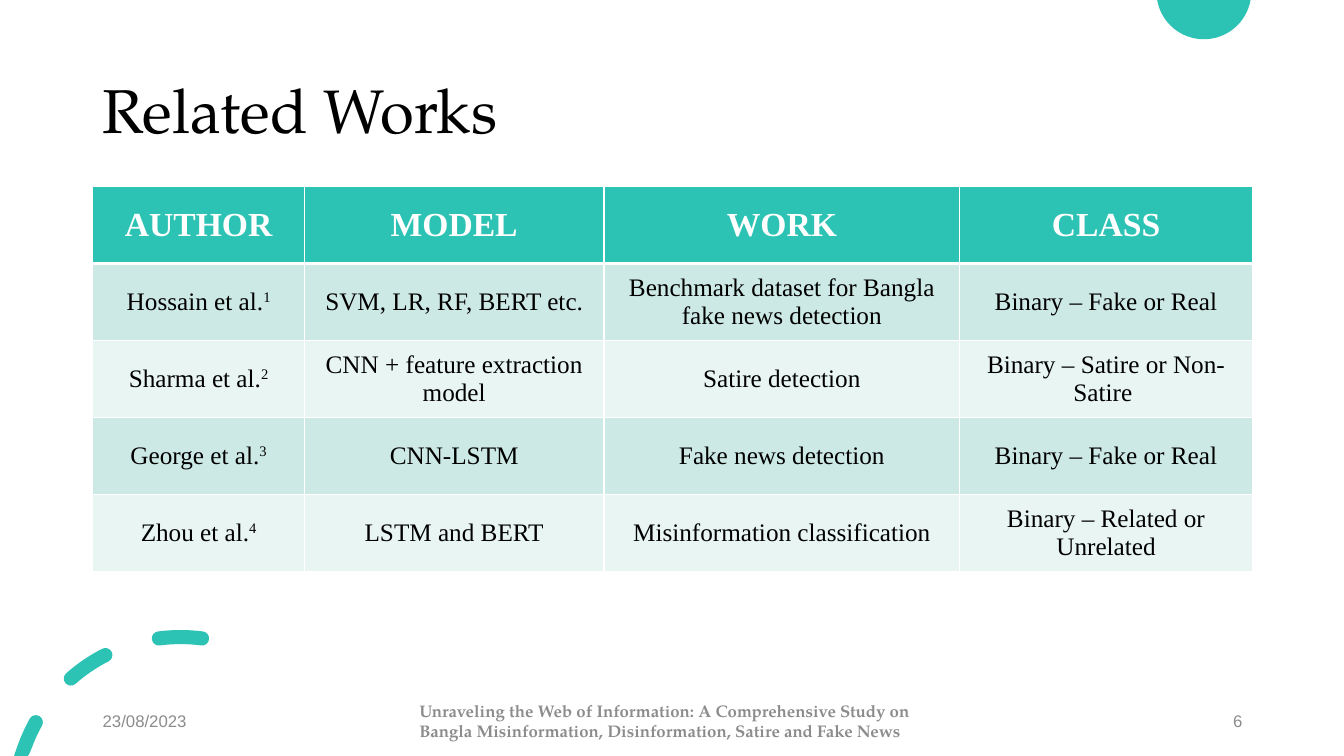
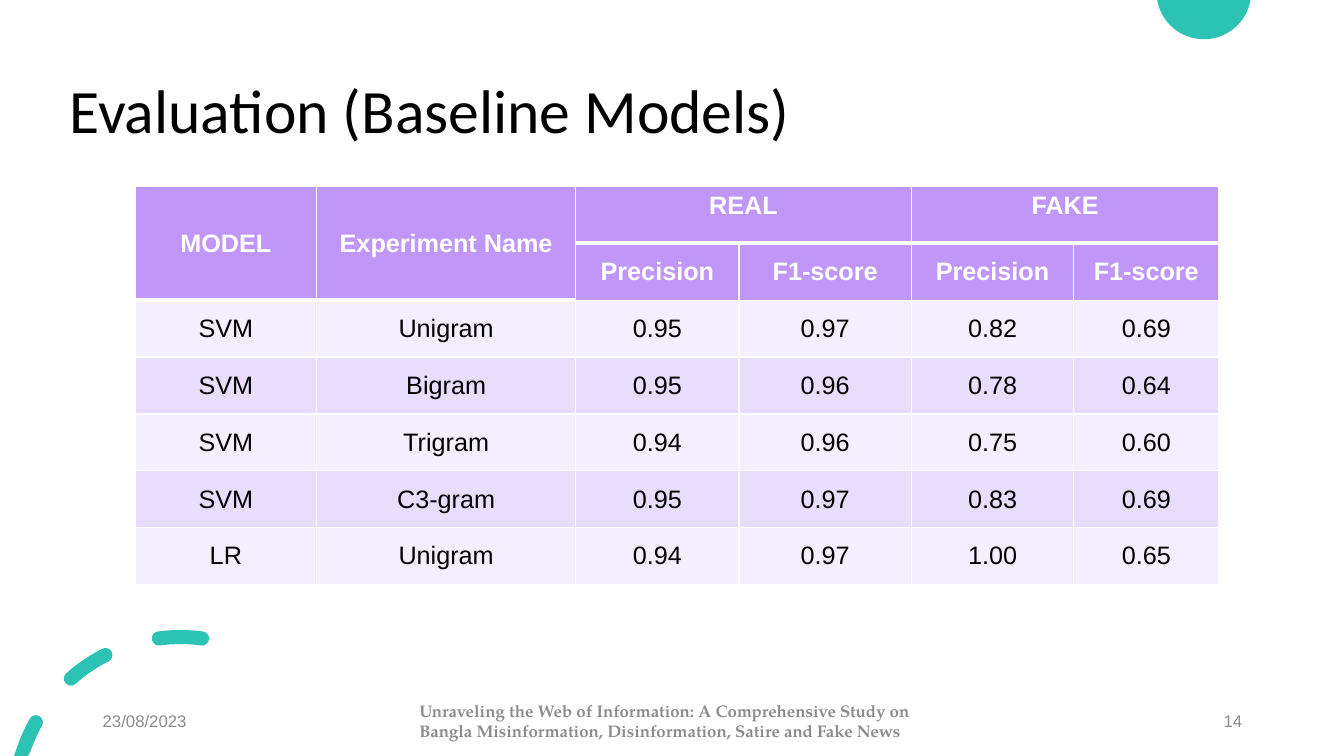
"""Build two table slides on Bangla fake news research."""
from dataclasses import dataclass
from math import cos, radians, sin, tan
from typing import NamedTuple

from lxml import etree
from pptx import Presentation
from pptx.dml.color import RGBColor
from pptx.enum.text import MSO_ANCHOR, PP_ALIGN
from pptx.oxml.ns import qn
from pptx.util import Inches, Pt

LEFT, CENTER, RIGHT = PP_ALIGN.LEFT, PP_ALIGN.CENTER, PP_ALIGN.RIGHT
TOP, MIDDLE = MSO_ANCHOR.TOP, MSO_ANCHOR.MIDDLE

Point = tuple[float, float]
Box = tuple[float, float, float, float]


class Curve(NamedTuple):
    """A cubic Bézier segment."""
    start: Point
    leave: Point
    arrive: Point
    end: Point


@dataclass(frozen=True)
class Theme:
    """Colours, fonts, type sizes and rule widths."""
    teal: str = "2CC3B4"
    teal_mid: str = "CDE9E5"
    teal_pale: str = "E8F5F2"
    purple: str = "C097F8"
    purple_mid: str = "E8DDFC"
    purple_pale: str = "F4EFFE"
    black: str = "000000"
    white: str = "FFFFFF"
    grey: str = "8C8C8C"
    serif: str = "TeX Gyre Pagella"
    sans: str = "Arial"
    humanist: str = "Calibri"
    roman: str = "Times New Roman"
    title_size: int = 44
    heading_size: int = 24
    body_size: int = 18
    footer_size: int = 12
    thin_rule: int = 1
    thick_rule: int = 3


THEME = Theme()
SLIDE_WIDTH, SLIDE_HEIGHT = 13.33, 7.5
FOOTER_TOP, FOOTER_HEIGHT = 6.95, 0.4
DATE = "23/08/2023"
TALK = ("Unraveling the Web of Information: A Comprehensive Study on "
        "Bangla Misinformation, Disinformation, Satire and Fake News")


@dataclass(frozen=True)
class TextStyle:
    """Look of a paragraph."""
    font: str
    size: int
    color: str
    bold: bool = False
    align: PP_ALIGN = LEFT
    line_spacing: float = 1.0


@dataclass(frozen=True)
class Grid:
    """Content and look of a table; a caret starts a superscript."""
    box: Box
    columns: tuple[float, ...]
    rows: tuple[tuple[str, ...], ...]
    heading_rows: int
    heading_fill: str
    band_fills: tuple[str, str]
    heading_style: TextStyle
    body_style: TextStyle
    merges: tuple[tuple[int, int, int, int], ...] = ()


@dataclass(frozen=True)
class Page:
    """One slide: title, number and table."""
    title: str
    title_font: str
    title_left: float
    number: int
    grid: Grid


PAGES = (
    Page("Related Works", THEME.serif, 0.92, 6, Grid(
        box=(0.92, 1.85, 11.5, 3.82),
        columns=(2.1, 2.97, 3.53, 2.9),
        rows=(
            ("AUTHOR", "MODEL", "WORK", "CLASS"),
            ("Hossain et al.^1", "SVM, LR, RF, BERT etc.",
             "Benchmark dataset for Bangla fake news detection", "Binary – Fake or Real"),
            ("Sharma et al.^2", "CNN + feature extraction model",
             "Satire detection", "Binary – Satire or Non-Satire "),
            ("George et al.^3", "CNN-LSTM", "Fake news detection", "Binary – Fake or Real"),
            ("Zhou et al.^4", "LSTM and BERT",
             "Misinformation classification", "Binary – Related or Unrelated"),
        ),
        heading_rows=1,
        heading_fill=THEME.teal,
        band_fills=(THEME.teal_mid, THEME.teal_pale),
        heading_style=TextStyle(THEME.roman, THEME.heading_size, THEME.white, True, CENTER),
        body_style=TextStyle(THEME.roman, THEME.body_size, THEME.black, False, CENTER),
    )),
    Page("Evaluation (Baseline Models)", THEME.humanist, 0.59, 14, Grid(
        box=(1.34, 1.85, 10.75, 3.95),
        columns=(1.8, 2.57, 1.62, 1.71, 1.61, 1.44),
        rows=(
            ("MODEL", "Experiment Name", "REAL", "", "FAKE", ""),
            ("", "", "Precision", "F1-score", "Precision", "F1-score"),
            ("SVM", "Unigram", "0.95", "0.97", "0.82", "0.69"),
            ("SVM", "Bigram", "0.95", "0.96", "0.78", "0.64"),
            ("SVM", "Trigram", "0.94", "0.96", "0.75", "0.60"),
            ("SVM", "C3-gram", "0.95", "0.97", "0.83", "0.69"),
            ("LR", "Unigram", "0.94", "0.97", "1.00", "0.65"),
        ),
        heading_rows=2,
        heading_fill=THEME.purple,
        band_fills=(THEME.purple_pale, THEME.purple_mid),
        heading_style=TextStyle(THEME.sans, THEME.body_size, THEME.white, True, CENTER),
        body_style=TextStyle(THEME.sans, THEME.body_size, THEME.black, False, CENTER),
        merges=((0, 0, 1, 0), (0, 1, 1, 1), (0, 2, 0, 3), (0, 4, 0, 5)),
    )),
)


def write(paragraph, text: str, style: TextStyle) -> None:
    """Fill a paragraph, raising whatever follows a caret."""
    base, _, raised = text.partition("^")
    paragraph.add_run().text = base
    if raised:
        note = paragraph.add_run()
        note.text = raised
        note.font._element.set("baseline", "30000")
    paragraph.alignment = style.align
    paragraph.line_spacing = style.line_spacing
    font = paragraph.font
    font.name, font.size, font.bold = style.font, Pt(style.size), style.bold
    font.color.rgb = RGBColor.from_string(style.color)


def add_text(slide, box: Box, text: str, style: TextStyle) -> None:
    """Add a wrapped, vertically centred text box."""
    frame = slide.shapes.add_textbox(*map(Inches, box)).text_frame
    frame.word_wrap = True
    frame.vertical_anchor = MIDDLE
    write(frame.paragraphs[0], text, style)


def on_circle(center: Point, radius: float, angle: float, lead: float = 0) -> Point:
    """Return a point at degrees clockwise from the top, moved along the tangent by lead radii."""
    a = radians(angle)
    return (center[0] + radius * (sin(a) + lead * cos(a)),
            center[1] - radius * (cos(a) - lead * sin(a)))


def arc(center: Point, radius: float, start: float, end: float) -> list[Curve]:
    """Return an arc as two equal curves."""
    middle = (start + end) / 2
    lead = 4 / 3 * tan(radians(middle - start) / 4)
    return [Curve(on_circle(center, radius, a), on_circle(center, radius, a, lead),
                  on_circle(center, radius, b, -lead), on_circle(center, radius, b))
            for a, b in ((start, middle), (middle, end))]


def curved_dash(center: Point, radius: float, start: float, end: float) -> list[Curve]:
    """Return the outline of a round-ended dash along a circle."""
    half = 0.07
    head, tail = (on_circle(center, radius, angle) for angle in (end, start))
    return (arc(center, radius + half, start, end)
            + arc(head, half, end, end + 180)
            + arc(center, radius - half, end, start)
            + arc(tail, half, start + 180, start + 360))


def on_slide(point: Point) -> tuple[int, int]:
    """Convert a point to slide units, held between top and bottom."""
    return Inches(point[0]), Inches(min(max(point[1], 0), SLIDE_HEIGHT))


def add_outline(slide, contours: list[list[Curve]]) -> None:
    """Draw closed curved contours in teal."""
    builder = slide.shapes.build_freeform(*on_slide(contours[0][0].start))
    for index, contour in enumerate(contours):
        if index:
            builder.move_to(*on_slide(contour[0].start))
        builder.add_line_segments([on_slide(curve.end) for curve in contour], close=True)
    ornament = builder.convert_to_shape()
    curves = [curve for contour in contours for curve in contour]
    for step, curve in zip(list(ornament._element.iter(qn("a:lnTo"))), curves):
        step.tag = qn("a:cubicBezTo")
        for position, handle in enumerate((curve.leave, curve.arrive)):
            x, y = on_slide(handle)
            step.insert(position, etree.Element(
                qn("a:pt"), x=str(x - ornament.left), y=str(y - ornament.top)))
    ornament.shadow.inherit = False
    ornament.fill.solid()
    ornament.fill.fore_color.rgb = RGBColor.from_string(THEME.teal)
    ornament.line.fill.background()


def add_border(cell, side: str, width: int) -> None:
    """Give one side of a cell a white rule."""
    rule = etree.SubElement(cell._tc.get_or_add_tcPr(), qn(f"a:ln{side}"), w=str(Pt(width)))
    paint = etree.SubElement(rule, qn("a:solidFill"))
    etree.SubElement(paint, qn("a:srgbClr"), val=THEME.white)


def add_grid(slide, grid: Grid) -> None:
    """Draw a table with heading rows and alternating bands."""
    table = slide.shapes.add_table(
        len(grid.rows), len(grid.columns), *map(Inches, grid.box)).table
    table.horz_banding = False
    for column, width in zip(table.columns, grid.columns):
        column.width = Inches(width)
    for top, left, bottom, right in grid.merges:
        table.cell(top, left).merge(table.cell(bottom, right))
    for row, texts in enumerate(grid.rows):
        heading = row < grid.heading_rows
        fill = grid.heading_fill if heading else grid.band_fills[(row - grid.heading_rows) % 2]
        style = grid.heading_style if heading else grid.body_style
        for column, text in enumerate(texts):
            cell = table.cell(row, column)
            thick = row == 0 or cell.is_spanned
            for side in "LR" if row else "LRT":
                add_border(cell, side, THEME.thin_rule)
            add_border(cell, "B", THEME.thick_rule if thick else THEME.thin_rule)
            cell.fill.solid()
            cell.fill.fore_color.rgb = RGBColor.from_string(fill)
            spans_columns = cell.is_merge_origin and cell.span_width > 1
            cell.vertical_anchor = TOP if spans_columns else MIDDLE
            if not cell.is_spanned:
                write(cell.text_frame.paragraphs[0], text, style)


def add_ornaments(slide) -> None:
    """Draw the cut disc at the top and the dashed arc at the bottom."""
    add_outline(slide, [arc((11.94, -0.08), 0.47, 100, 260)])
    add_outline(slide, [curved_dash((1.79, 7.96), 1.64, start, end)
                        for start, end in ((-75, -61), (-41.5, -27), (-7.5, 7.5))])


def add_footer(slide, number: int) -> None:
    """Write the date, the talk's title and the slide number."""
    for left, width, text, font, bold, align in (
            (0.92, 3, DATE, THEME.sans, False, LEFT),
            (4.06, 5.21, TALK, THEME.serif, True, LEFT),
            (9.42, 3, str(number), THEME.sans, False, RIGHT)):
        add_text(slide, (left, FOOTER_TOP, width, FOOTER_HEIGHT), text,
                 TextStyle(font, THEME.footer_size, THEME.grey, bold, align))


def add_page(deck, page: Page) -> None:
    """Add one complete slide."""
    slide = deck.slides.add_slide(deck.slide_layouts[6])
    add_ornaments(slide)
    add_text(slide, (page.title_left, 0.4, 11.5, 1.45), page.title,
             TextStyle(page.title_font, THEME.title_size, THEME.black, line_spacing=0.9))
    add_grid(slide, page.grid)
    add_footer(slide, page.number)


def main() -> None:
    """Build and save the deck."""
    deck = Presentation()
    deck.slide_width, deck.slide_height = Inches(SLIDE_WIDTH), Inches(SLIDE_HEIGHT)
    for page in PAGES:
        add_page(deck, page)
    deck.save("out.pptx")


if __name__ == "__main__":
    main()
